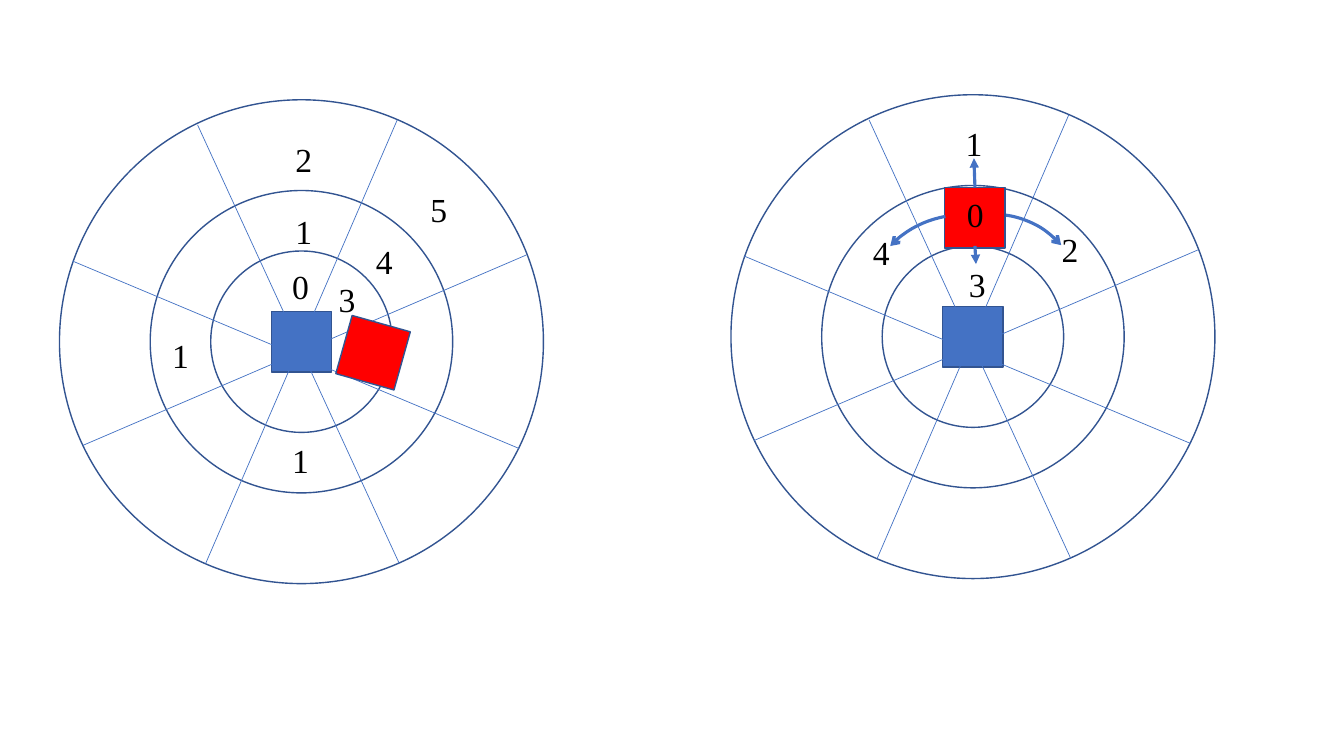
from lxml import etree
from pptx import Presentation
from pptx.dml.color import RGBColor
from pptx.enum import shapes, text
from pptx.oxml import ns
from pptx.util import Inches, Pt

BLUE = "4472C4"
OUTLINE = "325491"
RED = "FF0000"
BLACK = "000000"
FONT = "Times New Roman"
SQUARE = 0.6
RING_DIAMETERS = (1.8, 3, 4.8)
SPOKES = (
    ((0.97, 2.2), (-1.03, -2.15)),
    ((-2.17, 1.03), (2.23, -0.86)),
    ((-0.95, 2.2), (0.95, -2.2)),
    ((-2.27, -0.8), (2.16, 1.06)),
)
LEFT_CENTER = (2.99, 3.39)
RIGHT_CENTER = (9.65, 3.34)
LEFT_LABELS = (
    ("0", 2.8, 2.59), ("3", 3.26, 2.72), ("4", 3.63, 2.34), ("5", 4.17, 1.83),
    ("1", 2.83, 2.04), ("2", 2.83, 1.33), ("1", 1.61, 3.27), ("1", 2.8, 4.32),
)
RIGHT_LABELS = (
    ("3", 9.51, 2.57), ("4", 8.56, 2.25), ("2", 10.43, 2.22),
    ("0", 9.49, 1.87), ("1", 9.48, 1.17),
)


def color(value):
    return RGBColor.from_string(value)


def set_line(shape, value, width):
    shape.line.color.rgb = color(value)
    shape.line.width = Pt(width)


def add_arrowhead(shape, end, kind):
    line = shape.line._get_or_add_ln()
    etree.SubElement(line, ns.qn(f"a:{end}"), type=kind)


def add_outline_shape(slide, kind, left, top, width, height, fill=None):
    shape = slide.shapes.add_shape(
        kind, Inches(left), Inches(top), Inches(width), Inches(height)
    )
    shape.shadow.inherit = False
    if fill:
        shape.fill.solid()
        shape.fill.fore_color.rgb = color(fill)
    else:
        shape.fill.background()
    set_line(shape, OUTLINE, 1)
    return shape


def add_centered(slide, kind, center, size, fill=None):
    x, y = center
    return add_outline_shape(
        slide, kind, x - size / 2, y - size / 2, size, size, fill
    )


def add_line(slide, start, end, width, arrow=False):
    connector = slide.shapes.add_connector(
        shapes.MSO_CONNECTOR.STRAIGHT, *(Inches(value) for value in (*start, *end))
    )
    set_line(connector, BLUE, width)
    if arrow:
        add_arrowhead(connector, "tailEnd", "triangle")
    etree.SubElement(connector._element.spPr, ns.qn("a:effectLst"))


def add_curved_arrow(slide, left, top, width, height, rotation, end):
    arc = add_outline_shape(slide, shapes.MSO_SHAPE.ARC, left, top, width, height)
    arc.adjustments[0] = 189.327
    arc.adjustments[1] = 0
    arc.rotation = rotation
    set_line(arc, BLUE, 2.25)
    add_arrowhead(arc, end, "arrow")


def add_label(slide, label, left, top):
    box = slide.shapes.add_textbox(
        Inches(left), Inches(top), Inches(0.32), Inches(0.5)
    )
    frame = box.text_frame
    frame.word_wrap = True
    frame.auto_size = text.MSO_AUTO_SIZE.SHAPE_TO_FIT_TEXT
    paragraph = frame.paragraphs[0]
    paragraph.text = label
    paragraph.font.name = FONT
    paragraph.font.size = Pt(24)
    paragraph.font.color.rgb = color(BLACK)


def add_polar_grid(slide, center):
    add_centered(slide, shapes.MSO_SHAPE.RECTANGLE, center, SQUARE, BLUE)
    for diameter in RING_DIAMETERS:
        add_centered(slide, shapes.MSO_SHAPE.OVAL, center, diameter)
    x, y = center
    for start, end in SPOKES:
        add_line(
            slide, (x + start[0], y + start[1]), (x + end[0], y + end[1]), 0.5
        )


def add_diagram(slide, center, red_center, rotation, labels):
    add_polar_grid(slide, center)
    red_square = add_centered(
        slide, shapes.MSO_SHAPE.RECTANGLE, red_center, SQUARE, RED
    )
    red_square.rotation = rotation
    for label in labels:
        add_label(slide, *label)


def main():
    presentation = Presentation()
    presentation.slide_width = Inches(13.33)
    presentation.slide_height = Inches(7.5)
    slide = presentation.slides.add_slide(presentation.slide_layouts[6])
    add_diagram(slide, LEFT_CENTER, (3.7, 3.5), 15.7, LEFT_LABELS)
    add_diagram(slide, RIGHT_CENTER, (9.67, 2.16), 0, RIGHT_LABELS)
    add_curved_arrow(slide, 8.72, 2.03, 1.59, 1.8, 260, "headEnd")
    add_curved_arrow(slide, 9.11, 2.1, 1.62, 1.74, 318.4, "tailEnd")
    add_line(slide, (9.67, 2.44), (9.68, 2.62), 2.25, arrow=True)
    add_line(slide, (9.67, 1.86), (9.66, 1.57), 2.25, arrow=True)
    presentation.save("out.pptx")


if __name__ == "__main__":
    main()
